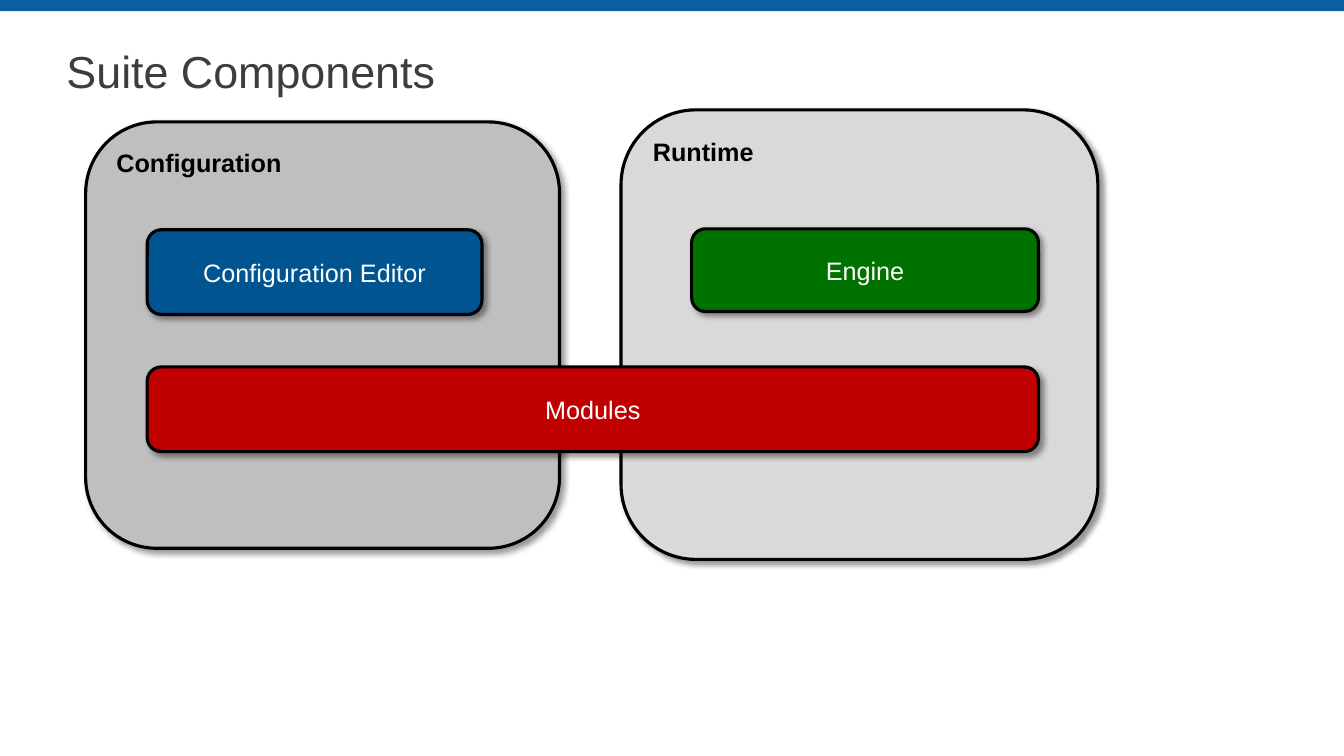
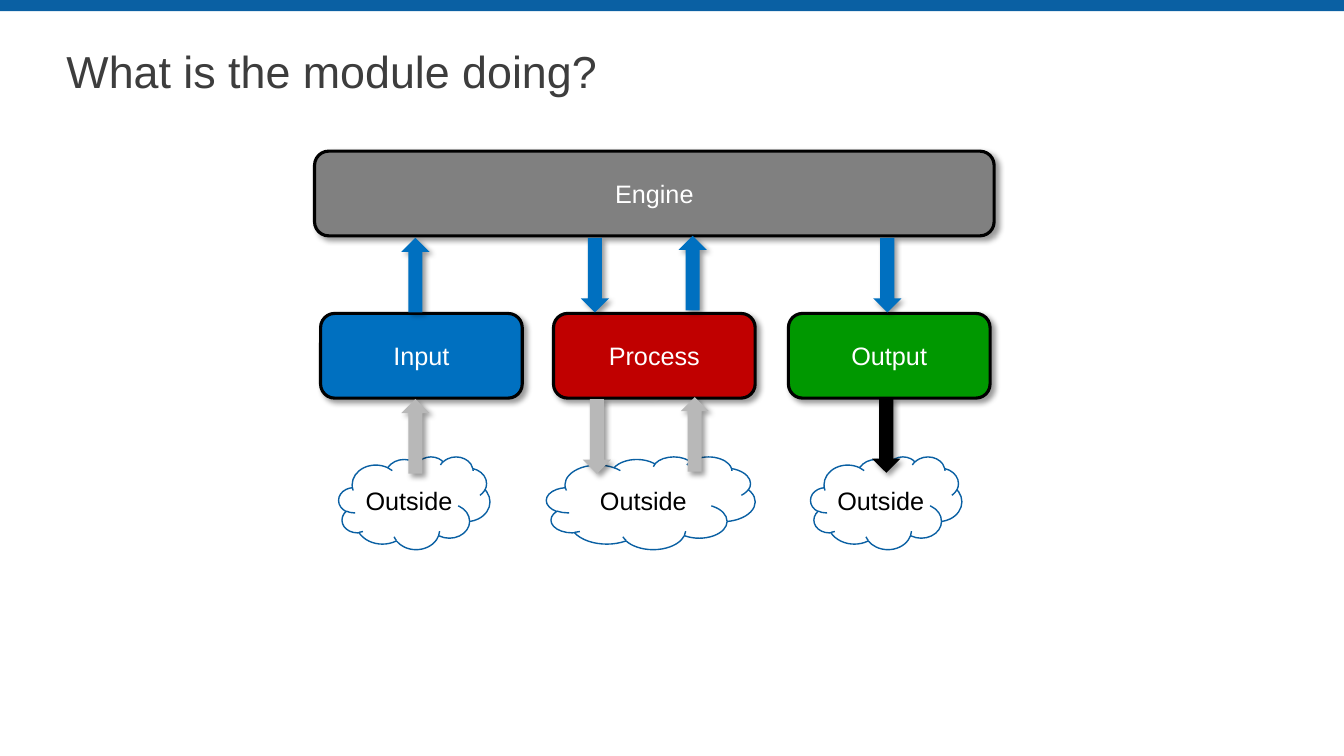
"""Build two slides on the parts of a control framework and its modules."""
from dataclasses import dataclass

from lxml.etree import SubElement
from pptx import Presentation
from pptx.dml.color import RGBColor
from pptx.enum.shapes import MSO_SHAPE
from pptx.enum.text import MSO_ANCHOR, PP_ALIGN
from pptx.oxml.ns import qn
from pptx.util import Pt

SCALE = 9144
WIDE, HIGH = 1333, 750


@dataclass(frozen=True)
class Theme:
    """Colours, font and type sizes of the deck."""
    font: str = "Arial"
    head: int = 32
    body: int = 18
    edge: float = 2.25
    thin: float = 1
    ink: str = "3D3D3D"
    band: str = "0A60A3"
    black: str = "000000"
    white: str = "FFFFFF"
    navy: str = "005490"
    blue: str = "0070C0"
    red: str = "C00000"
    pine: str = "007200"
    green: str = "009800"
    gray: str = "808080"
    ash: str = "B8B8B8"
    dim: str = "BFBFBF"
    pale: str = "D9D9D9"


LOOK = Theme()


def px(*sizes):
    """Turn px into EMU."""
    return [size * SCALE for size in sizes]


def tint(name):
    """Turn a hex name into a colour."""
    return RGBColor.from_string(name)


def shade(shape):
    """Give a shape the soft shadow at its lower right."""
    glow = shape._element.spPr.find(qn("a:effectLst"))
    drop = SubElement(glow, qn("a:outerShdw"), blurRad=str(Pt(4)), dist=str(Pt(3)),
                      dir="2700000", algn="tl", rotWithShape="0")
    hue = SubElement(drop, qn("a:srgbClr"), val=LOOK.black)
    SubElement(hue, qn("a:alpha"), val="40000")


def draw(slide, kind, spot, fill=None, line=None, width=LOOK.edge):
    """Add a preset shape with its fill and outline."""
    shape = slide.shapes.add_shape(kind, *px(*spot))
    shape.shadow.inherit = False
    if fill:
        shape.fill.solid()
        shape.fill.fore_color.rgb = tint(fill)
    else:
        shape.fill.background()
    if line:
        shape.line.color.rgb = tint(line)
        shape.line.width = Pt(width)
    else:
        shape.line.fill.background()
    return shape


def write(shape, text, color, size=LOOK.body, bold=False,
          align=PP_ALIGN.CENTER, anchor=MSO_ANCHOR.MIDDLE):
    """Set and style the text of a shape."""
    frame = shape.text_frame
    frame.word_wrap = True
    frame.vertical_anchor = anchor
    frame.text = text
    para = frame.paragraphs[0]
    para.alignment = align
    font = para.runs[0].font
    font.name, font.size, font.bold = LOOK.font, Pt(size), bold
    font.color.rgb = tint(color)
    return frame


def trim(frame):
    """Drop the side margins of a text frame."""
    frame.margin_left = frame.margin_right = 0


def page(deck, title):
    """Add a slide with the top band and a title."""
    slide = deck.slides.add_slide(deck.slide_layouts[6])
    draw(slide, MSO_SHAPE.RECTANGLE, (0, 0, WIDE, 11), LOOK.band)
    box = slide.shapes.add_textbox(*px(66, 40, 1200, 67))
    frame = write(box, title, LOOK.ink, LOOK.head, align=PP_ALIGN.LEFT)
    frame.paragraphs[0].line_spacing = 0.9
    trim(frame)
    return slide


def block(slide, spot, fill):
    """Add a rounded block with a black edge and a shadow."""
    shape = draw(slide, MSO_SHAPE.ROUNDED_RECTANGLE, spot, fill, LOOK.black)
    shade(shape)
    return shape


def panel(slide, text, spot, fill):
    """Add a large block named at its top left."""
    write(block(slide, spot, fill), text, LOOK.black, bold=True,
          align=PP_ALIGN.LEFT, anchor=MSO_ANCHOR.TOP)


def part(slide, text, spot, fill):
    """Add a block with a centred white label."""
    write(block(slide, spot, fill), text, LOOK.white)


def cloud(slide, mid, width):
    """Add a cloud for the outside world, centred at mid."""
    spot = (mid - width // 2, 453, width, 92)
    shape = draw(slide, MSO_SHAPE.CLOUD, spot, line=LOOK.band, width=LOOK.thin)
    trim(write(shape, "Outside", LOOK.black))


def arrow(slide, left, top, fill, down):
    """Add a block arrow that points up or down."""
    shape = draw(slide, MSO_SHAPE.UP_ARROW, (left, top, 28, 74), fill)
    shape.rotation = 180 if down else 0
    shade(shape)


def parts(deck):
    """Build the slide on the components."""
    slide = page(deck, "Suite Components")
    panel(slide, "Configuration", (85, 121, 470, 423), LOOK.dim)
    panel(slide, "Runtime", (616, 109, 473, 446), LOOK.pale)
    part(slide, "Engine", (686, 227, 344, 82), LOOK.pine)
    part(slide, "Configuration Editor", (146, 228, 332, 84), LOOK.navy)
    part(slide, "Modules", (146, 364, 884, 84), LOOK.red)


def flow(deck):
    """Build the slide on the data flow of a module."""
    slide = page(deck, "What is the module doing?")
    for text, left, fill in (("Input", 318, LOOK.blue),
                             ("Process", 549, LOOK.red),
                             ("Output", 782, LOOK.green)):
        part(slide, text, (left, 311, 200, 84), fill)
    part(slide, "Engine", (312, 150, 674, 84), LOOK.gray)
    for left, top, down in ((398, 236, False), (866, 236, True),
                            (576, 236, True), (673, 234, False)):
        arrow(slide, left, top, LOOK.blue, down)
    for mid, width in ((645, 207), (411, 150), (879, 150)):
        cloud(slide, mid, width)
    for left, top, fill, down in ((398, 396, LOOK.ash, False),
                                  (865, 395, LOOK.black, True),
                                  (578, 396, LOOK.ash, True),
                                  (675, 394, LOOK.ash, False)):
        arrow(slide, left, top, fill, down)


def main():
    """Build and save the deck."""
    deck = Presentation()
    deck.slide_width, deck.slide_height = px(WIDE, HIGH)
    parts(deck)
    flow(deck)
    deck.save("out.pptx")


if __name__ == "__main__":
    main()
